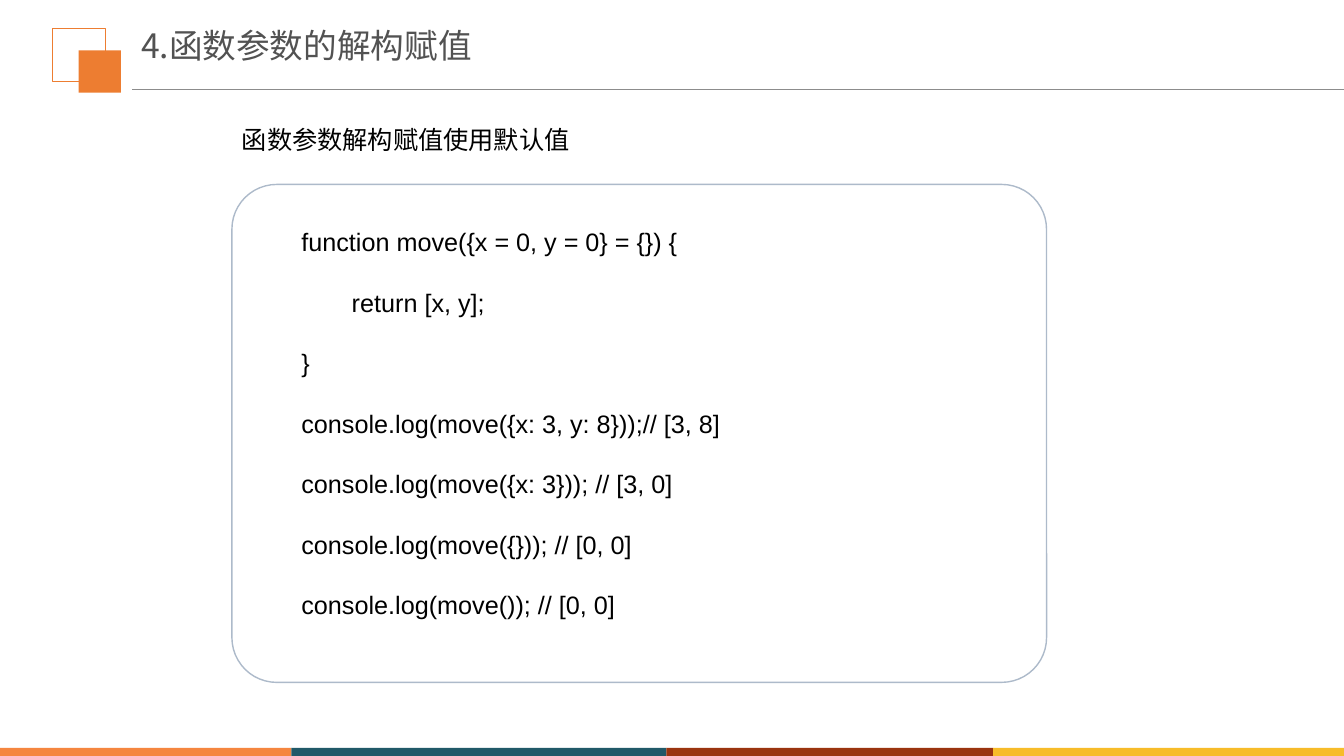
from lxml.etree import SubElement
from pptx import Presentation
from pptx.dml.color import RGBColor
from pptx.enum.shapes import MSO_CONNECTOR, MSO_SHAPE
from pptx.enum.text import MSO_ANCHOR, MSO_AUTO_SIZE, PP_ALIGN
from pptx.oxml.ns import qn
from pptx.util import Inches, Pt

TITLE = "4.函数参数的解构赋值"
CAPTION = "函数参数解构赋值使用默认值"
CODE = [
    "function move({x = 0, y = 0} = {}) {",
    "\treturn [x, y];",
    "}",
    "console.log(move({x: 3, y: 8}));// [3, 8]",
    "console.log(move({x: 3})); // [3, 0]",
    "console.log(move({})); // [0, 0]",
    "console.log(move()); // [0, 0]",
]

ORANGE = RGBColor(0xED, 0x7D, 0x31)
TITLE_GRAY = RGBColor(0x52, 0x52, 0x52)
RULE_GRAY = RGBColor(0x8C, 0x8C, 0x8C)
FRAME_BLUE = RGBColor(0xAD, 0xBA, 0xCA)
BLACK = RGBColor(0, 0, 0)
FOOTER_BANDS = [
    (0, RGBColor(0xF5, 0x86, 0x3F)),
    (2.89, RGBColor(0x21, 0x59, 0x68)),
    (6.61, RGBColor(0x9A, 0x34, 0x0F)),
    (9.85, RGBColor(0xF7, 0xBC, 0x29)),
]

WIDTH, HEIGHT = 13.33, 7.5
FOOTER_TOP = 7.42
CONTENT_LEFT = 2.3
CHINESE_FONT = "Noto Sans CJK SC"


def add_panel(page, area, kind=MSO_SHAPE.RECTANGLE, fill=None, line=None, weight=0.75):
    panel = page.shapes.add_shape(kind, *map(Inches, area))
    panel.shadow.inherit = False
    if fill is None:
        panel.fill.background()
    else:
        panel.fill.solid()
        panel.fill.fore_color.rgb = fill
    if line is None:
        panel.line.fill.background()
    else:
        panel.line.color.rgb = line
        panel.line.width = Pt(weight)
    return panel


def write_lines(frame, lines, size, color, font, spacing):
    for index, line in enumerate(lines):
        para = frame.paragraphs[0] if index == 0 else frame.add_paragraph()
        para.alignment = PP_ALIGN.LEFT
        para.line_spacing = spacing
        span = para.add_run()
        span.text = line
        span.font.size = Pt(size)
        span.font.name = font
        span.font.color.rgb = color
        SubElement(span.font._element, qn("a:ea"), typeface=CHINESE_FONT)


def add_text(page, area, lines, spacing=1.0, wrap=True):
    box = page.shapes.add_textbox(*map(Inches, area))
    box.text_frame.word_wrap = wrap
    box.text_frame.auto_size = MSO_AUTO_SIZE.SHAPE_TO_FIT_TEXT
    write_lines(box.text_frame, lines, 18, BLACK, "Arial", spacing)


def add_header(page):
    add_panel(page, (0.52, 0.28, 0.53, 0.53), line=ORANGE)
    add_panel(page, (0.78, 0.5, 0.42, 0.42), fill=ORANGE)
    rule = page.shapes.add_connector(
        MSO_CONNECTOR.STRAIGHT, *map(Inches, (1.31, 0.89, WIDTH, 0.89))
    )
    rule.line.color.rgb = RULE_GRAY
    rule.line.width = Pt(0.75)
    SubElement(rule._element.spPr, qn("a:effectLst"))

    title = page.shapes.title
    title.left, title.top, title.width, title.height = map(Inches, (1.3, 0.29, 5.29, 0.58))
    title.text_frame.vertical_anchor = MSO_ANCHOR.TOP
    title.text_frame.margin_top = 0
    title.text_frame.auto_size = MSO_AUTO_SIZE.NONE
    write_lines(title.text_frame, [TITLE], 24, TITLE_GRAY, CHINESE_FONT, 0.9)


def add_footer(page):
    edges = [left for left, color in FOOTER_BANDS] + [WIDTH]
    for (left, color), right in zip(FOOTER_BANDS, edges[1:]):
        add_panel(page, (left, FOOTER_TOP, right - left, HEIGHT - FOOTER_TOP), fill=color)


def main():
    deck = Presentation()
    deck.slide_width, deck.slide_height = Inches(WIDTH), Inches(HEIGHT)
    page = deck.slides.add_slide(deck.slide_layouts[5])
    add_header(page)
    add_footer(page)
    add_text(page, (CONTENT_LEFT, 1.18, 3.51, 0.4), [CAPTION], wrap=False)
    frame = add_panel(page, (CONTENT_LEFT, 1.83, 8.08, 4.94),
                      MSO_SHAPE.ROUNDED_RECTANGLE, line=FRAME_BLUE, weight=1)
    frame.adjustments[0] = 0.09
    add_text(page, (2.89, 1.9, 7.11, 4.34), CODE, spacing=2.0)
    deck.save("out.pptx")


if __name__ == "__main__":
    main()
